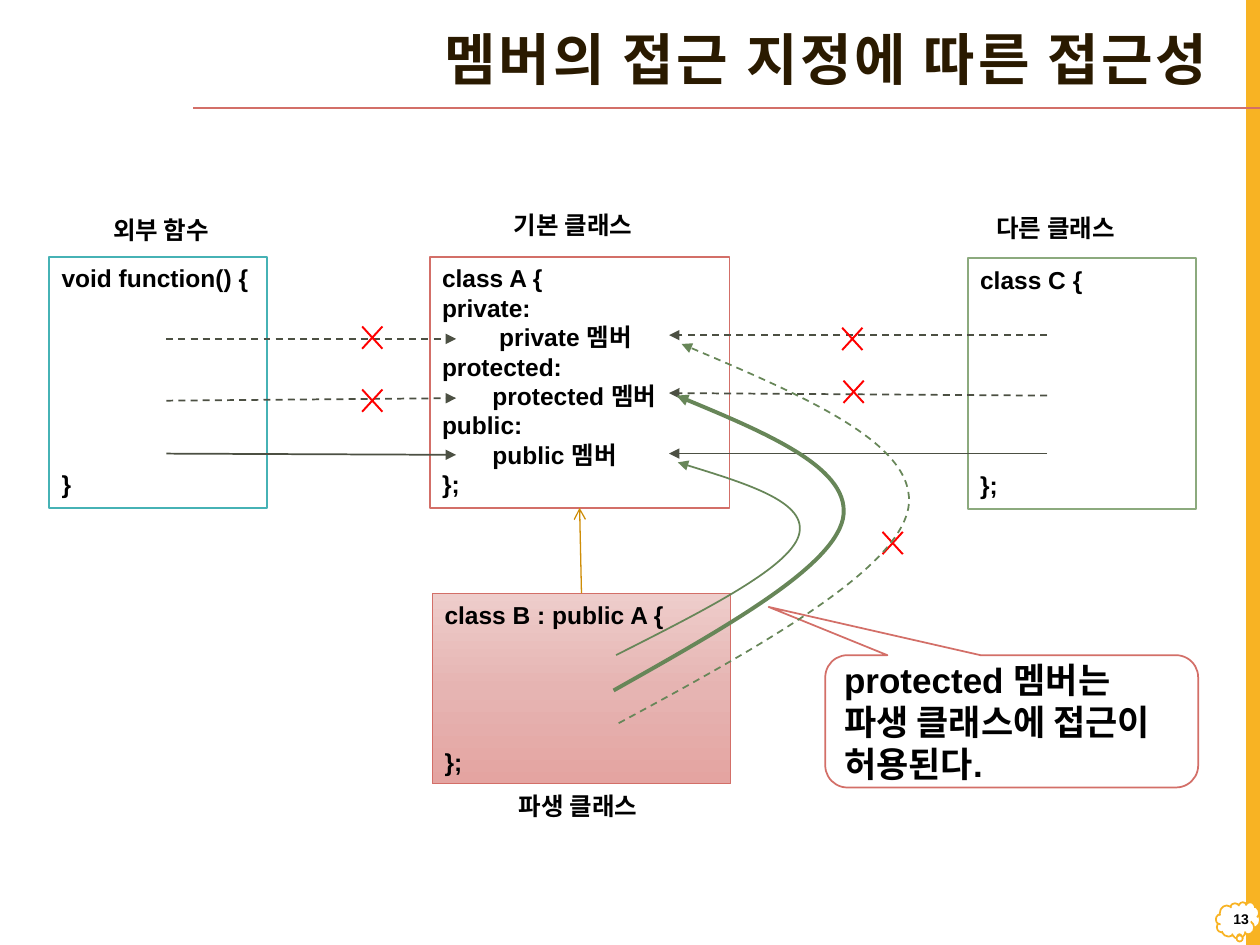
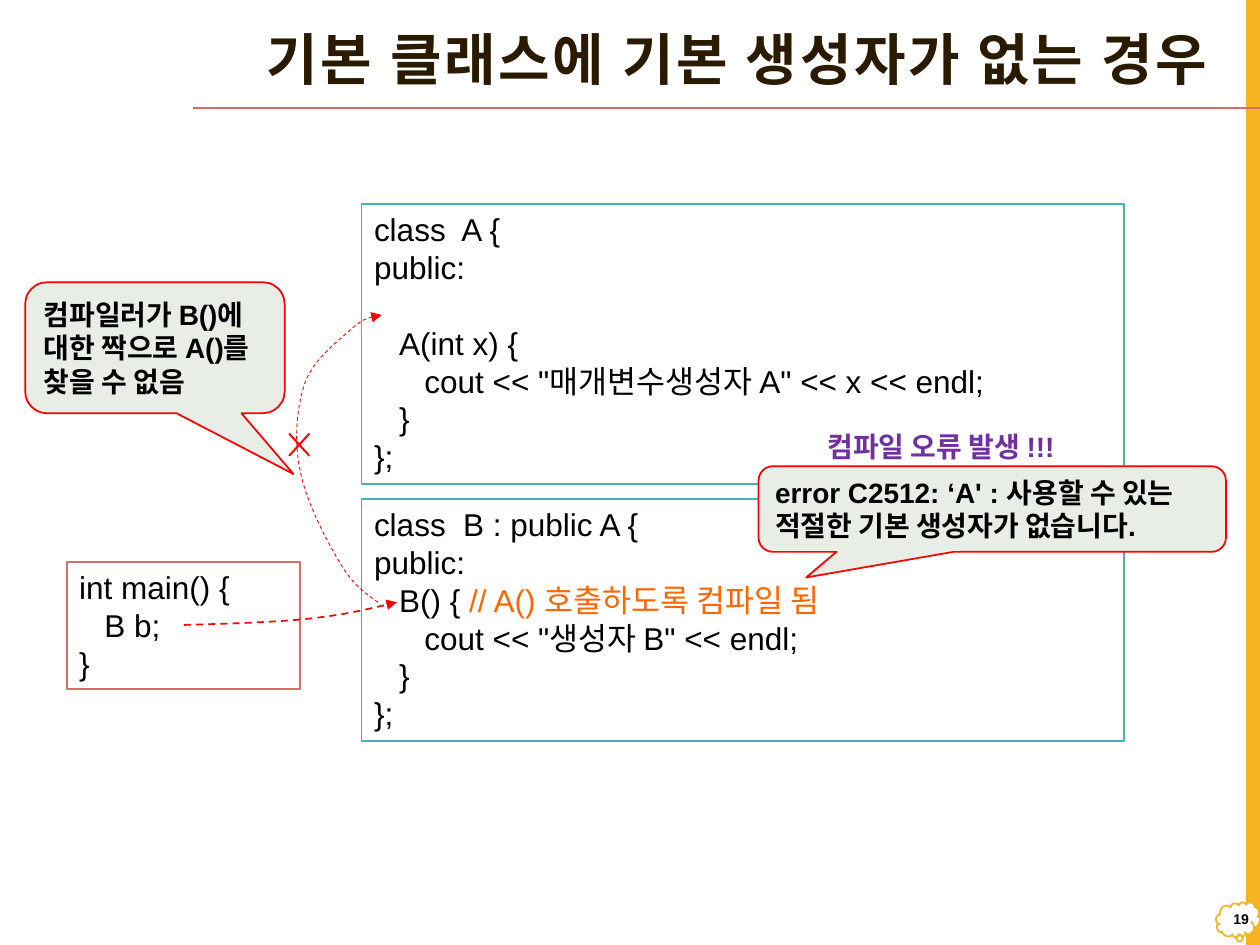
from copy import deepcopy
from dataclasses import dataclass

from lxml.etree import SubElement
from pptx import Presentation
from pptx.dml.color import RGBColor
from pptx.enum.dml import MSO_LINE
from pptx.enum.shapes import MSO_CONNECTOR, MSO_SHAPE
from pptx.enum.text import MSO_ANCHOR, MSO_AUTO_SIZE, PP_ALIGN
from pptx.oxml.ns import qn
from pptx.util import Inches, Pt


@dataclass(frozen=True)
class Theme:
    font: str = "Arial"
    title_font: str = "Arial Narrow"
    title_color: str = "2A1A00"
    text: str = "000000"
    white: str = "FFFFFF"
    gold: str = "F8B323"
    dark_gold: str = "CE8D07"
    rose: str = "D36F68"
    teal: str = "46B2B5"
    sage: str = "8CAA7E"
    green: str = "678658"
    pale_green: str = "E8EEE5"
    gray: str = "4C5043"
    red: str = "FF0000"
    orange: str = "FF6600"
    purple: str = "7030A0"
    derived: tuple = ("EECDCB", "E6B4B2", "E4A4A1")
    title_size: int = 32
    big: int = 20
    code: int = 18
    note: int = 16
    label: int = 14
    number: int = 8
    leading: float = 1.2
    indent: float = 0.2


T = Theme()


@dataclass
class Line:
    """One line of text; indent in steps, gap in line heights above it."""
    text: str
    indent: int = 0
    gap: int = 0
    comment: str = ""


def rgb(value):
    return RGBColor.from_string(value)


# ---- Text ----
def add_run(p, text, size, color, bold, font):
    r = p.add_run()
    r.text = text
    r.font.name, r.font.size, r.font.bold = font, Pt(size), bold
    r.font.color.rgb = rgb(color)
    return r


def write(sp, lines, size=T.label, color=T.text, bold=True, font=T.font,
          align=PP_ALIGN.LEFT, anchor=MSO_ANCHOR.TOP, wrap=True):
    tf = sp.text_frame
    tf.word_wrap, tf.vertical_anchor = wrap, anchor
    leading = size * T.leading
    for i, line in enumerate(lines):
        if isinstance(line, str):
            line = Line(line)
        p = tf.paragraphs[0] if i == 0 else tf.add_paragraph()
        p.alignment, p.line_spacing = align, Pt(leading)
        if line.gap:
            p.space_before = Pt(line.gap * leading)
        if line.indent:
            p._p.get_or_add_pPr().set("marL", str(Inches(line.indent * T.indent)))
        add_run(p, line.text, size, color, bold, font)
        if line.comment:
            add_run(p, line.comment, size, T.orange, bold, font)


def add_text(slide, at, lines, **fmt):
    sp = slide.shapes.add_textbox(*map(Inches, at))
    write(sp, lines, **fmt)
    return sp


# ---- Shapes ----
def add_box(slide, at, fill=T.white, line=None, width=1, kind=MSO_SHAPE.RECTANGLE, adj=()):
    sp = slide.shapes.add_shape(kind, *map(Inches, at))
    sp.shadow.inherit = False
    for i, value in enumerate(adj):
        sp.adjustments[i] = value
    sp.fill.solid()
    sp.fill.fore_color.rgb = rgb(fill)
    if line:
        sp.line.color.rgb, sp.line.width = rgb(line), Pt(width)
    else:
        sp.line.fill.background()
    return sp


def add_code(slide, at, line, lines, width=1, **fmt):
    sp = add_box(slide, at, line=line, width=width)
    write(sp, lines, **fmt)
    return sp


def add_callout(slide, at, tip, lines, fill, line, size):
    sp = add_box(slide, at, fill, line, kind=MSO_SHAPE.ROUNDED_RECTANGULAR_CALLOUT,
                 adj=(*tip, 0.167))
    write(sp, lines, size=size, anchor=MSO_ANCHOR.MIDDLE)


def add_cross(slide, left, top):
    add_box(slide, (left, top, 0.31, 0.34), T.red, kind=MSO_SHAPE.MATH_MULTIPLY, adj=(0.05,))


def shade(sp, colors):
    """Top-to-bottom gradient with three equally spaced stops."""
    sp.fill.gradient()
    sp.fill.gradient_angle = 270
    stops = sp._element.spPr.find(".//" + qn("a:gsLst"))
    stops.insert(1, deepcopy(stops[0]))
    for i, (stop, color) in enumerate(zip(sp.fill.gradient_stops, colors)):
        stop.position, stop.color.rgb = i / 2, rgb(color)


# ---- Lines and arrows ----
def style_line(sp, color, width, dashed=False, head=None):
    sp.line.color.rgb, sp.line.width = rgb(color), Pt(width)
    if dashed:
        sp.line.dash_style = MSO_LINE.DASH
    if head:
        SubElement(sp.line._get_or_add_ln(), qn("a:tailEnd"), type=head)


def add_line(slide, start, end, color, width=1, dashed=False, head=None):
    sp = slide.shapes.add_connector(MSO_CONNECTOR.STRAIGHT, *map(Inches, (*start, *end)))
    style_line(sp, color, width, dashed, head)
    SubElement(sp._element.spPr, qn("a:effectLst"))
    return sp


def add_curve(slide, points, color, width=1, dashed=False):
    """Arrow along cubic curves: a start, then three points per curve."""
    start, *rest = [(Inches(x), Inches(y)) for x, y in points]
    builder = slide.shapes.build_freeform(*start)
    builder.add_line_segments(rest, close=False)
    sp = builder.convert_to_shape()
    sp.shadow.inherit = False
    sp.fill.background()
    style_line(sp, color, width, dashed, "triangle")
    path = sp._element.spPr.find(".//" + qn("a:path"))
    steps = path.findall(qn("a:lnTo"))
    for i in range(0, len(steps), 3):
        curve = SubElement(path, qn("a:cubicBezTo"))
        for step in steps[i:i + 3]:
            curve.append(step[0])
            path.remove(step)


# ---- Shared frame ----
def add_slide(prs, title, number):
    slide = prs.slides.add_slide(prs.slide_layouts[5])
    add_box(slide, (9.89, 0, 0.11, 7.5), T.gold)
    add_box(slide, (9.65, 7.16, 0.35, 0.29), line=T.gold,
            kind=MSO_SHAPE.CLOUD_CALLOUT, adj=(0.034, 0.431))
    add_line(slide, (10, 0.86), (1.53, 0.86), T.rose)

    sp = slide.shapes.title
    sp.left, sp.top, sp.width, sp.height = map(Inches, (1.32, 0.13, 8.37, 0.73))
    tf = sp.text_frame
    tf.auto_size, tf.vertical_anchor = MSO_AUTO_SIZE.NONE, MSO_ANCHOR.MIDDLE
    p = tf.paragraphs[0]
    p.alignment, p.line_spacing = PP_ALIGN.RIGHT, 0.9
    r = add_run(p, title, T.title_size, T.title_color, True, T.title_font)
    r.font._element.set("spc", "150")

    add_text(slide, (9.66, 7.12, 0.35, 0.35), [str(number)], size=T.number,
             align=PP_ALIGN.RIGHT, anchor=MSO_ANCHOR.MIDDLE)
    return slide


# ---- Slides ----
def build_access_slide(prs):
    slide = add_slide(prs, "멤버의 접근 지정에 따른 접근성", 13)

    # Classes and the outside function
    base = add_code(slide, (3.41, 2.04, 2.38, 1.99), T.rose, [
        "class A {", "private:", Line(" private 멤버", 2), "protected:",
        Line("protected 멤버", 2), "public:", Line("public 멤버", 2), "};"])
    derived = add_code(slide, (3.43, 4.71, 2.37, 1.51), T.rose,
                       ["class B : public A {", Line("};", gap=4)], width=0.5)
    shade(derived, T.derived)
    inherits = add_line(slide, (4.61, 4.71), (4.6, 4.03), T.dark_gold, 0.75, head="arrow")
    inherits.begin_connect(derived, 0)
    inherits.end_connect(base, 2)
    add_code(slide, (7.68, 2.05, 1.81, 1.99), T.sage, ["class C {", Line("};", gap=6)])
    add_code(slide, (0.39, 2.04, 1.73, 1.99), T.teal,
             ["void function() {", Line("}", gap=6)])

    # Access from the other class and from the function
    for x1, x2, y1, y2, width, dashed in (
            (8.31, 5.31, 2.66, 2.66, 1, True),
            (8.31, 5.31, 3.14, 3.12, 1, True),
            (8.31, 5.31, 3.6, 3.6, 0.75, False),
            (1.32, 3.62, 2.69, 2.69, 1, True),
            (1.32, 3.62, 3.18, 3.16, 1, True),
            (1.32, 3.62, 3.6, 3.61, 1, False)):
        add_line(slide, (x1, y1), (x2, y2), T.gray, width, dashed, "triangle")
    for left, top in ((2.8, 2.51), (6.61, 2.52), (6.62, 2.94), (2.8, 3.01), (6.93, 4.14)):
        add_cross(slide, left, top)

    # Labels
    for left, top, width, label in (
            (0.8, 1.66, 1.06, "외부 함수"), (3.98, 1.62, 1.25, "기본 클래스"),
            (7.81, 1.64, 1.25, "다른 클래스"), (4.02, 6.23, 1.25, "파생 클래스")):
        add_text(slide, (left, top, width, 0.34), [label], wrap=False)

    # Access from the derived class
    add_curve(slide, [(4.87, 5.48), (5.74, 4.99), (6.6, 4.51), (6.69, 4.12),
                      (6.77, 3.73), (6.07, 3.43), (5.37, 3.14)], T.green, 2.25)
    add_callout(slide, (6.55, 5.2, 2.96, 1.05), (-0.652, -0.865),
                ["protected 멤버는 파생 클래스에 접근이 허용된다."], T.white, T.rose, T.big)
    add_curve(slide, [(4.89, 5.2), (5.58, 4.85), (6.26, 4.51), (6.34, 4.25),
                      (6.42, 3.99), (5.9, 3.83), (5.38, 3.67)], T.green)
    add_curve(slide, [(4.91, 5.74), (6.02, 5.14), (7.12, 4.53), (7.21, 4.03),
                      (7.29, 3.53), (6.35, 3.13), (5.41, 2.73)], T.green, dashed=True)


def build_constructor_slide(prs):
    slide = add_slide(prs, "기본 클래스에 기본 생성자가 없는 경우", 19)

    # Code
    for at, color, lines in (
            ((2.87, 1.62, 6.05, 2.22), T.teal, [
                "class  A {", "public:", Line("A(int x) {", 1, gap=1),
                Line('cout << "매개변수생성자 A" << x << endl;', 2), Line("}", 1), "};"]),
            ((2.87, 3.96, 6.05, 1.92), T.teal, [
                "class  B : public A {", "public:",
                Line("B() { ", 1, comment="// A() 호출하도록 컴파일 됨"),
                Line('cout << "생성자 B" << endl;', 2), Line("}", 1), "};"]),
            ((0.53, 4.46, 1.85, 1.01), T.rose, ["int main() {", Line("B b;", 1), "}"])):
        add_code(slide, at, color, lines, size=T.code, bold=False)

    # Failed call from B() to A()
    add_curve(slide, [(3, 4.78), (2.9, 4.71), (2.8, 4.64), (2.7, 4.47),
                      (2.59, 4.29), (2.42, 3.96), (2.38, 3.72),
                      (2.33, 3.48), (2.36, 3.22), (2.42, 3.04),
                      (2.49, 2.85), (2.68, 2.71), (2.78, 2.62),
                      (2.88, 2.53), (2.96, 2.51), (3.03, 2.5)], T.red, 0.5, dashed=True)
    add_callout(slide, (0.2, 2.24, 2.06, 1.04), (0.534, 0.964),
                ["컴파일러가 B()에 대한 짝으로 A()를 찾을 수 없음"], T.pale_green, T.red, T.note)
    add_cross(slide, 2.22, 3.36)

    # Compiler error
    add_callout(slide, (6.02, 3.7, 3.71, 0.68), (-0.398, 0.799),
                ["error C2512: ‘A' : 사용할 수 있는", "적절한 기본 생성자가 없습니다."],
                T.pale_green, T.red, T.note)
    add_text(slide, (6.47, 3.36, 2.22, 0.37), ["컴파일 오류 발생 !!!"],
             size=T.note, color=T.purple, wrap=False)

    # Call from main() to B()
    add_curve(slide, [(1.46, 4.96), (1.81, 4.95), (2.17, 4.94), (2.45, 4.91),
                      (2.73, 4.88), (2.94, 4.83), (3.15, 4.78)], T.red, dashed=True)


def main():
    prs = Presentation()
    prs.slide_width, prs.slide_height = Inches(10), Inches(7.5)
    build_access_slide(prs)
    build_constructor_slide(prs)
    prs.save("out.pptx")


if __name__ == "__main__":
    main()
